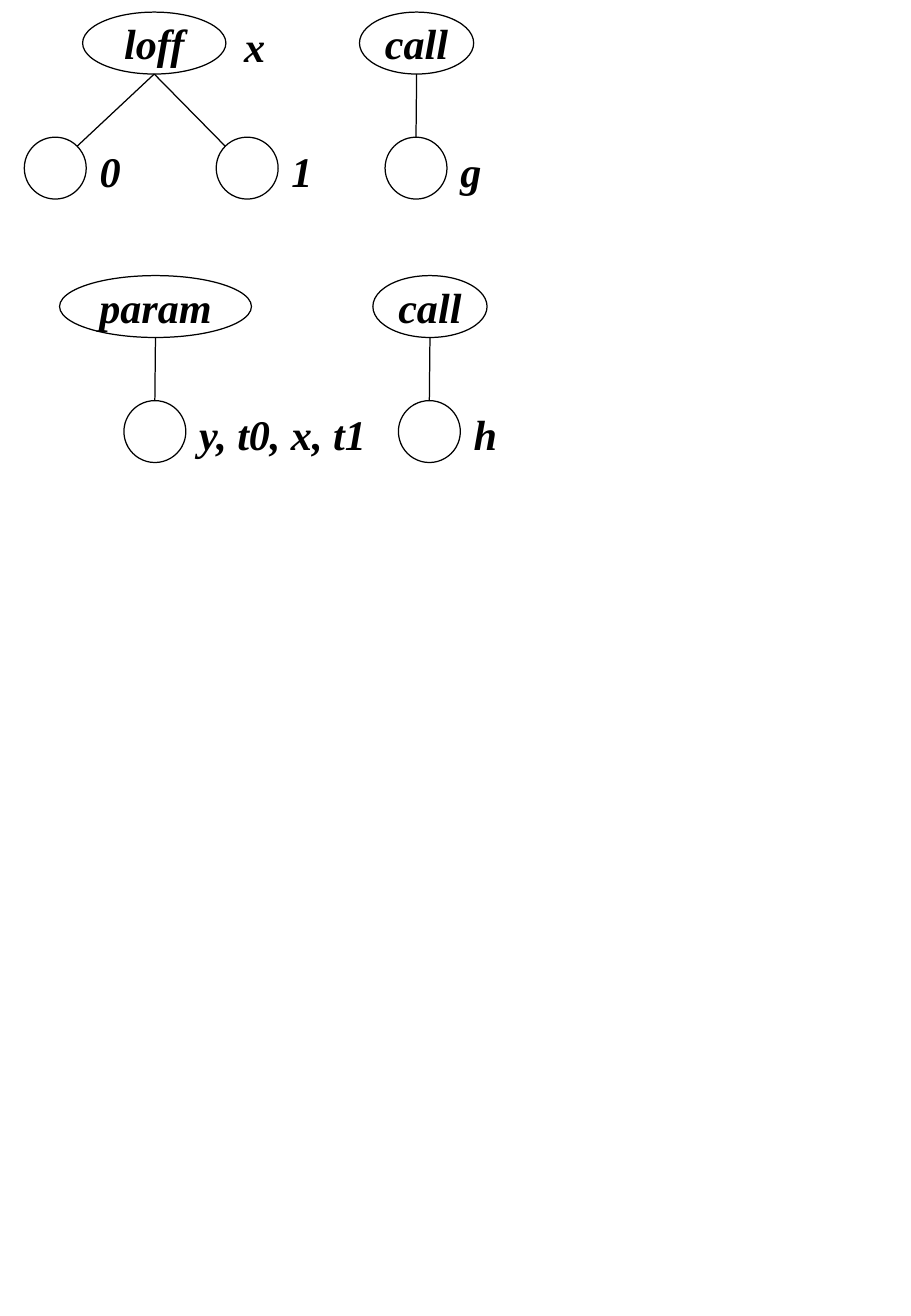
from math import sqrt

from lxml import etree
from pptx import Presentation
from pptx.dml.color import RGBColor
from pptx.enum.shapes import MSO_CONNECTOR, MSO_SHAPE
from pptx.enum.text import MSO_ANCHOR, MSO_AUTO_SIZE, PP_ALIGN
from pptx.oxml.ns import qn
from pptx.util import Inches, Pt

BLACK = RGBColor(0, 0, 0)
FONT = "Times New Roman"
OVAL, STRAIGHT = MSO_SHAPE.OVAL, MSO_CONNECTOR.STRAIGHT
MIDDLE, NO_FIT = MSO_ANCHOR.MIDDLE, MSO_AUTO_SIZE.NONE
LEFT, CENTER = PP_ALIGN.LEFT, PP_ALIGN.CENTER

NODE_HEIGHT = 0.51
LEAF_DROP = 1.03
CAPTION_DROP = 0.04
CAPTION_WIDTH = 0.43
LONG_CAPTION_WIDTH = 1.7
CORNER_INSET = NODE_HEIGHT / 2 * (1 - 1 / sqrt(2))

# Each tree: left, top, width, operator, operator caption, leaves (offset, caption)
TREES = [
    (0.68, 0.1, 1.18, "loff", "x", [(-0.48, "0"), (1.1, "1")]),
    (2.96, 0.1, 0.94, "call", "", [(0.21, "g")]),
    (0.49, 2.27, 1.58, "param", "", [(0.53, "y, t0, x, t1")]),
    (3.07, 2.27, 0.94, "call", "", [(0.21, "h")]),
]


def write(holder, words, align, side_inset):
    """Put bold italic words in a shape on one unwrapped line."""
    frame = holder.text_frame
    frame.text = words
    frame.word_wrap = False
    frame.auto_size = NO_FIT
    frame.vertical_anchor = MIDDLE
    frame.margin_left = frame.margin_right = Inches(side_inset)
    frame.margin_top = frame.margin_bottom = Inches(0.05)
    paragraph = frame.paragraphs[0]
    paragraph.alignment = align
    font = paragraph.runs[0].font
    font.name, font.size = FONT, Pt(25)
    font.bold = font.italic = True
    font.color.rgb = BLACK


def add_node(slide, left, top, width):
    """Draw an outlined oval node and return it."""
    node = slide.shapes.add_shape(
        OVAL, Inches(left), Inches(top), Inches(width), Inches(NODE_HEIGHT))
    node.shadow.inherit = False
    node.fill.background()
    node.line.color.rgb = BLACK
    node.line.width = Pt(0.75)
    return node


def add_caption(slide, left, top, words):
    """Write a caption to the right of a node."""
    width = CAPTION_WIDTH if len(words) == 1 else LONG_CAPTION_WIDTH
    caption = slide.shapes.add_textbox(
        Inches(left), Inches(top + CAPTION_DROP), Inches(width), Inches(0.47))
    write(caption, words, LEFT, 0.11)


def add_branch(slide, start, end):
    """Draw a thin branch between two points and return it."""
    branch = slide.shapes.add_connector(
        STRAIGHT, *(Inches(length) for length in (*start, *end)))
    branch.line.color.rgb = BLACK
    branch.line.width = Pt(0.75)
    etree.SubElement(branch._element.spPr, qn("a:effectLst"))
    return branch


def add_tree(slide, left, top, width, operator, operator_caption, leaves):
    """Draw an operator node with its leaves, captions and branches."""
    root = add_node(slide, left, top, width)
    write(root, operator, CENTER, 0.1)
    if operator_caption:
        add_caption(slide, left + width + 0.04, top, operator_caption)
    root_foot = (left + width / 2, top + NODE_HEIGHT)
    leaf_top = top + LEAF_DROP
    for offset, caption in leaves:
        leaf_left = left + offset
        leaf = add_node(slide, leaf_left, leaf_top, NODE_HEIGHT)
        add_caption(slide, leaf_left + NODE_HEIGHT, leaf_top, caption)
        if len(leaves) == 1:
            leaf_head = (leaf_left + NODE_HEIGHT / 2, leaf_top)
            add_branch(slide, root_foot, leaf_head).end_connect(leaf, 0)
        else:
            inset = NODE_HEIGHT - CORNER_INSET if offset < 0 else CORNER_INSET
            add_branch(slide, root_foot,
                       (leaf_left + inset, leaf_top + CORNER_INSET))


def main():
    """Build the slide of syntax trees and save it."""
    deck = Presentation()
    deck.slide_width, deck.slide_height = Inches(7.5), Inches(10.84)
    slide = deck.slides.add_slide(deck.slide_layouts[6])
    for tree in TREES:
        add_tree(slide, *tree)
    deck.save("out.pptx")


if __name__ == "__main__":
    main()
